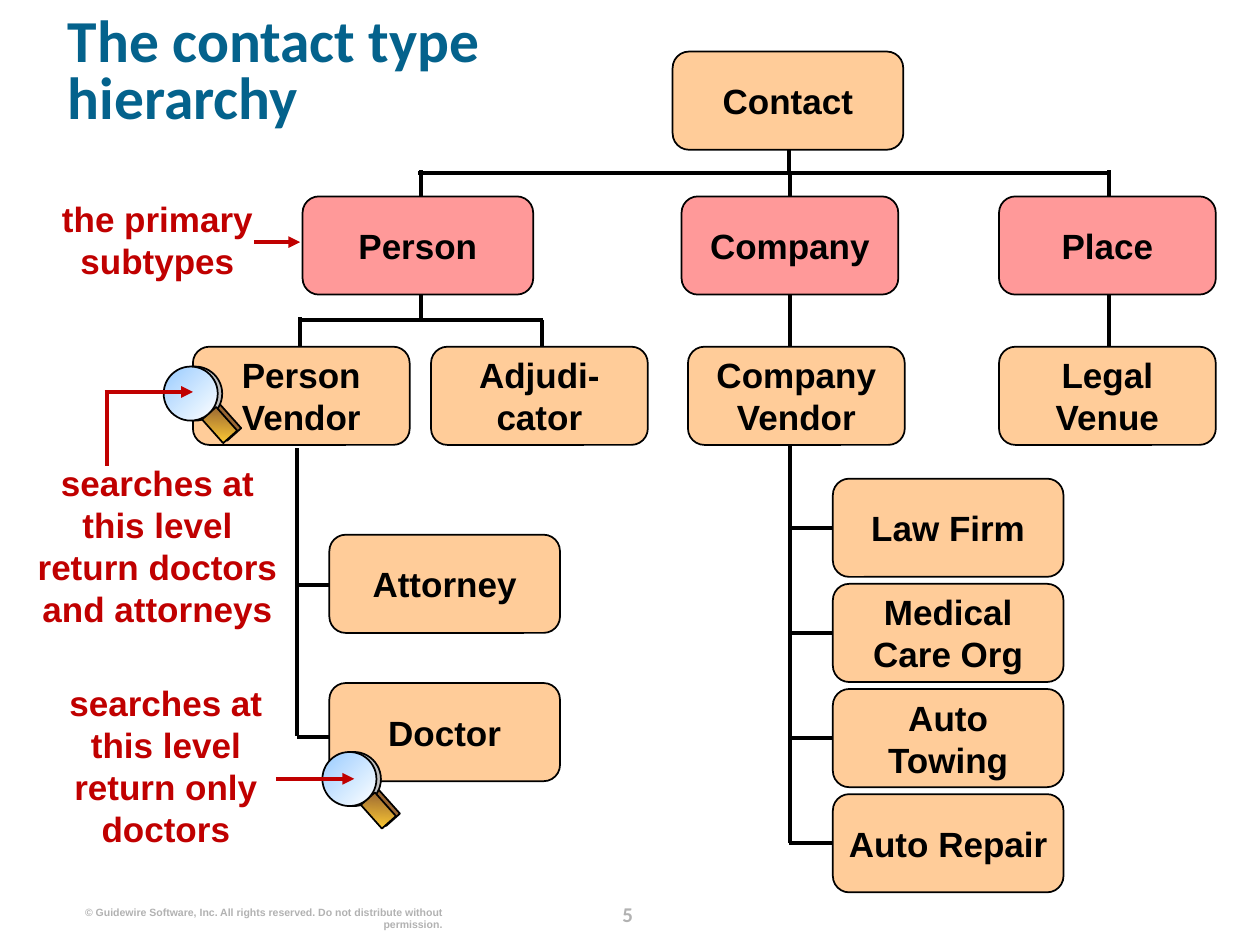
from dataclasses import dataclass

from lxml.etree import SubElement
from pptx import Presentation
from pptx.dml.color import RGBColor
from pptx.enum.shapes import MSO_CONNECTOR as Connector, MSO_SHAPE as Shape
from pptx.enum.text import MSO_ANCHOR as Anchor, MSO_AUTO_SIZE as AutoSize, PP_ALIGN as Align
from pptx.oxml.ns import qn
from pptx.util import Cm, Pt


@dataclass(frozen=True)
class Theme:
    title_color: str = "04628C"
    ink: str = "000000"
    note: str = "C00000"
    muted: str = "B2B2B2"
    primary: str = "FF9999"
    subtype: str = "FFCC99"
    lens: tuple = ("99CCFF", "FFFFFF")
    lens_rim: str = "C0C0C0"
    handle: tuple = ("996633", "FFCC33")
    title_font: str = "Calibri"
    body_font: str = "Arial"
    title_size: float = 34
    body_size: float = 20
    page_size: float = 12
    footer_size: float = 6
    outline: float = 1
    connector: float = 2.25


class HierarchySlide:
    """Holds the theme and the current slide; lengths are centimetres."""

    def __init__(self, slide, theme):
        self.slide = slide
        self.theme = theme

    def fill_text(self, shape, text, size, color, font=None, align=Align.CENTER,
                  anchor=Anchor.TOP, side_inset=0):
        frame = shape.text_frame
        frame.text = text
        frame.word_wrap = True
        frame.auto_size = AutoSize.NONE
        frame.vertical_anchor = anchor
        frame.margin_top = frame.margin_bottom = 0
        frame.margin_left = frame.margin_right = Cm(side_inset)
        paragraph = frame.paragraphs[0]
        paragraph.alignment = align
        for run in paragraph.runs:
            run.font.name = font or self.theme.body_font
            run.font.size = Pt(size)
            run.font.bold = True
            run.font.color.rgb = RGBColor.from_string(color)
        return paragraph

    def title(self, text, left, top, width, height):
        shape = self.slide.shapes.title
        shape.left, shape.top, shape.width, shape.height = map(Cm, (left, top, width, height))
        paragraph = self.fill_text(shape, text, self.theme.title_size, self.theme.title_color,
                                   self.theme.title_font, Align.LEFT)
        paragraph.line_spacing = 0.8

    def text(self, text, left, top, width, height, size, color, **style):
        box = self.slide.shapes.add_textbox(*map(Cm, (left, top, width, height)))
        self.fill_text(box, text, size, color, **style)

    def note(self, text, left, top, height):
        self.text(text, left, top, 4.87, height, self.theme.body_size, self.theme.note)

    def outlined(self, kind, left, top, width, height, fill, gradient_angle=0):
        shape = self.slide.shapes.add_shape(kind, *map(Cm, (left, top, width, height)))
        shape.shadow.inherit = False
        if isinstance(fill, tuple):
            shape.fill.gradient()
            shape.fill.gradient_angle = gradient_angle
            for stop, color in zip(shape.fill.gradient_stops, fill):
                stop.color.rgb = RGBColor.from_string(color)
        else:
            shape.fill.solid()
            shape.fill.fore_color.rgb = RGBColor.from_string(fill)
        shape.line.color.rgb = RGBColor.from_string(self.theme.ink)
        shape.line.width = Pt(self.theme.outline)
        return shape

    def contact_type(self, name, left, top, width, fill):
        shape = self.outlined(Shape.ROUNDED_RECTANGLE, left, top, width, BOX_HEIGHT, fill)
        self.fill_text(shape, name, self.theme.body_size, self.theme.ink, anchor=Anchor.MIDDLE,
                       side_inset=0.15 if width == WIDE else 0.41)

    def line(self, x1, y1, x2, y2, color=None, arrow=False):
        connector = self.slide.shapes.add_connector(
            Connector.STRAIGHT, *map(Cm, (x1, y1, x2, y2)))
        connector.line.color.rgb = RGBColor.from_string(color or self.theme.ink)
        connector.line.width = Pt(self.theme.connector)
        properties = connector._element.spPr
        if arrow:
            SubElement(properties.find(qn("a:ln")), qn("a:tailEnd"), type="triangle")
        SubElement(properties, qn("a:effectLst"))

    def magnifier(self, left, top):
        theme = self.theme
        handle_size, lens_size = (0.38, 0.64), (1.09, 1.09)
        parts = (
            (Shape.RECTANGLE, 1.02, 0.81, handle_size, theme.handle[0], 0),
            (Shape.OVAL, 0.09, 0, lens_size, theme.lens_rim, 0),
            (Shape.RECTANGLE, 0.94, 0.86, handle_size, theme.handle, 225),
            (Shape.OVAL, 0, 0, lens_size, theme.lens, 315),
        )
        for kind, dx, dy, size, fill, angle in parts:
            shape = self.outlined(kind, left + dx, top + dy, *size, fill, angle)
            if kind == Shape.RECTANGLE:
                shape.rotation = 318.3


# Box grid
WIDE, NARROW, BOX_HEIGHT = 4.65, 4.37, 1.98
ROOT_ROW, PRIMARY_ROW, VENDOR_ROW = 1.04, 3.96, 6.99
FIRM_LEFT, FIRM_TOP, FIRM_STEP = 16.79, 9.65, 2.12
FIRMS = ("Law Firm", "Medical Care Org", "Auto Towing", "Auto Repair")

# Connector positions
PERSON_X, COMPANY_X, PLACE_X = 8.48, 15.93, 22.35
PRIMARY_BAR, PERSON_BAR = 3.48, 6.45
VENDOR_X, ADJUDICATOR_X, PERSON_TRUNK_X = 6.05, 10.92, 5.99


def main():
    presentation = Presentation()
    presentation.slide_width, presentation.slide_height = Cm(25.4), Cm(19.05)
    theme = Theme()
    page = HierarchySlide(presentation.slides.add_slide(presentation.slide_layouts[5]), theme)

    # Title and footer
    page.title("The contact type hierarchy", 1.37, 0.33, 11.84, 3.2)
    page.text("© Guidewire Software, Inc. All rights reserved. Do not distribute without permission.",
              1.55, 18.26, 7.37, 0.5, theme.footer_size, theme.muted, align=Align.RIGHT)
    page.text("5", 11.93, 18.11, 1.45, 0.64, theme.page_size, theme.muted,
              font=theme.title_font, anchor=Anchor.MIDDLE)

    # Tree lines
    firm_tops = [FIRM_TOP + FIRM_STEP * index for index in range(len(FIRMS))]
    firm_middles = [top + BOX_HEIGHT / 2 for top in firm_tops]
    for ends in (
        (PERSON_X - 0.05, PRIMARY_BAR, PLACE_X, PRIMARY_BAR),
        (COMPANY_X, PRIMARY_BAR, COMPANY_X, firm_middles[-1]),
        (PLACE_X, PRIMARY_BAR - 0.05, PLACE_X, VENDOR_ROW),
        (COMPANY_X - 0.03, ROOT_ROW + BOX_HEIGHT, COMPANY_X - 0.03, PRIMARY_BAR),
        (PERSON_X, PRIMARY_BAR - 0.05, PERSON_X, PERSON_BAR),
        (VENDOR_X, PERSON_BAR, ADJUDICATOR_X + 0.03, PERSON_BAR),
        (VENDOR_X, PERSON_BAR - 0.05, VENDOR_X, VENDOR_ROW),
        (ADJUDICATOR_X, PERSON_BAR, ADJUDICATOR_X, VENDOR_ROW),
        (PERSON_TRUNK_X, 9.04, PERSON_TRUNK_X, 14.83),
    ):
        page.line(*ends)
    for middle in (11.79, 14.86):
        page.line(PERSON_TRUNK_X, middle, PERSON_TRUNK_X + 1.04, middle)
    for middle in firm_middles:
        page.line(COMPANY_X - 0.03, middle, COMPANY_X + 1.01, middle)

    # Contact types
    for name, left, top, width, fill in (
        ("Contact", 13.56, ROOT_ROW, WIDE, theme.subtype),
        ("Person", 6.1, PRIMARY_ROW, WIDE, theme.primary),
        ("Company", 13.74, PRIMARY_ROW, NARROW, theme.primary),
        ("Place", 20.14, PRIMARY_ROW, NARROW, theme.primary),
        ("Person Vendor", 3.89, VENDOR_ROW, NARROW, theme.subtype),
        ("Adjudi-\vcator", 8.69, VENDOR_ROW, NARROW, theme.subtype),
        ("Company Vendor", 13.87, VENDOR_ROW, NARROW, theme.subtype),
        ("Legal\vVenue", 20.14, VENDOR_ROW, NARROW, theme.subtype),
        ("Attorney", 6.64, 10.78, WIDE, theme.subtype),
        ("Doctor", 6.64, 13.77, WIDE, theme.subtype),
    ):
        page.contact_type(name, left, top, width, fill)
    for name, top in zip(FIRMS, firm_tops):
        page.contact_type(name, FIRM_LEFT, top, WIDE, theme.subtype)

    # Search notes with magnifiers and arrows
    page.magnifier(3.3, 7.39)
    page.magnifier(6.5, 15.16)
    page.note("the primary subtypes", 0.74, 3.99, 1.7)
    page.note("searches at this level return doctors and attorneys", 0.74, 9.3, 3.38)
    page.note("searches at this level return only doctors", 0.91, 13.74, 3.38)
    page.line(2.16, 7.92, 2.16, 9.4, theme.note)
    for x1, x2, y in ((2.11, 3.89, 7.9), (5.56, 7.14, 15.7), (5.13, 6.05, 4.88)):
        page.line(x1, y, x2, y, theme.note, arrow=True)

    presentation.save("out.pptx")


if __name__ == "__main__":
    main()
